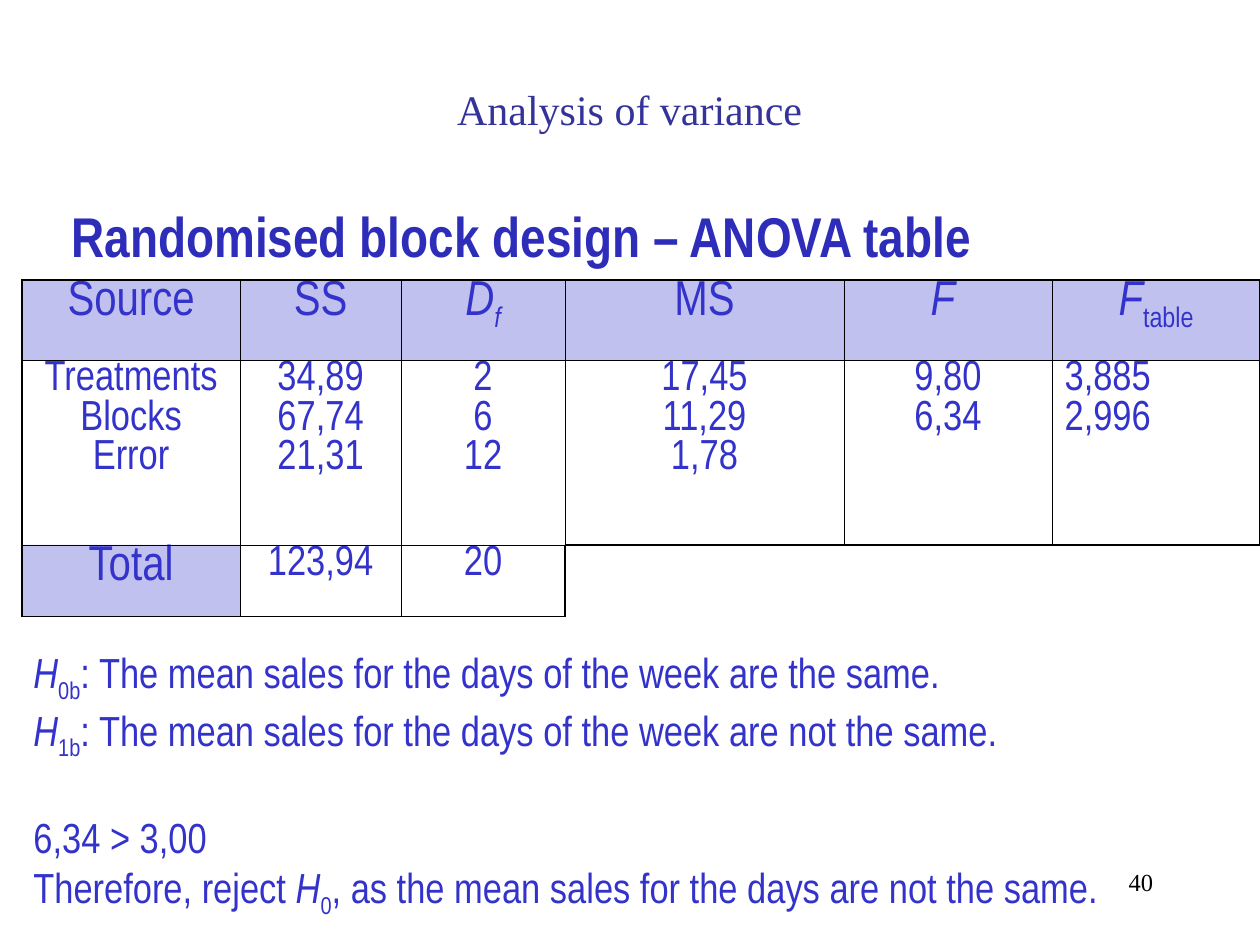
from lxml.etree import SubElement
from pptx import Presentation
from pptx.dml.color import RGBColor
from pptx.enum.text import MSO_ANCHOR, PP_ALIGN
from pptx.oxml.ns import qn
from pptx.util import Pt

BLACK = RGBColor(0x00, 0x00, 0x00)
NAVY = RGBColor(0x33, 0x33, 0x99)
HEADING_BLUE = RGBColor(0x2D, 0x2D, 0xB9)
BLUE = RGBColor(0x33, 0x33, 0xCC)

SERIF = "Times New Roman"
NARROW = "Arial Narrow"

COLUMNS = [124.6, 92, 93.7, 159.4, 118.9, 118.9]
ROWS = [45.7, 105.7, 41]
OUTER, INNER = 1.08, 0.45

ANOVA = [
    [["Source"], ["SS"], [[("D", "i"), ("f", "i sub")]], ["MS"],
     [[("F ", "i")]], [[("F", "i"), ("table", "sub")]]],
    [["Treatments", "Blocks", "Error"], ["34,89", "67,74", "21,31"],
     ["2", "6", "12"], ["17,45", "11,29", "1,78"],
     ["9,80", "6,34"], ["3,885", "2,996"]],
    [["Total"], ["123,94"], ["20"], [], [], []],
]

CONCLUSIONS = [
    [("H", "i"), ("0b", "sub"),
     (": The mean sales for the days of the week are the same.", "")],
    [("H", "i"), ("1b", "sub"),
     (": The mean sales for the days of the week are not the same.", "")],
    "6,34 > 3,00",
    [("Therefore, reject ", ""), ("H", "i"), ("0", "sub"),
     (", as the mean sales for the days are not the same.", "")],
]


def write(tf, lines, size, font, color, align=PP_ALIGN.LEFT, bold=False):
    for i, line in enumerate(lines):
        p = tf.paragraphs[0] if i == 0 else tf.add_paragraph()
        p.alignment = align
        p.space_before = Pt(0)
        p.font.size = Pt(size)
        p.font.name = font
        p.font.bold = bold
        p.font.color.rgb = color
        for text, style in [(line, "")] if isinstance(line, str) else line:
            r = p.add_run()
            r.text = text
            marks = style.split()
            if "i" in marks:
                r.font.italic = True
            if "sub" in marks:
                r._r.get_or_add_rPr().set("baseline", "-25000")


def add_title(s, text):
    title = s.shapes.title
    title.left, title.top, title.width, title.height = (
        Pt(131.8), Pt(43.9), Pt(456), Pt(67))
    tf = title.text_frame
    tf.word_wrap = False
    tf.vertical_anchor = MSO_ANCHOR.TOP
    write(tf, [text], 24, SERIF, NAVY, PP_ALIGN.CENTER)


def add_text(s, box, lines, size, font, color, **options):
    tf = s.shapes.add_textbox(*map(Pt, box)).text_frame
    tf.word_wrap = True
    write(tf, lines, size, font, color, **options)
    return tf


def has_text(row, col):
    return (0 <= row < len(ROWS) and 0 <= col < len(COLUMNS)
            and bool(ANOVA[row][col]))


def add_borders(cell, row, col):
    tcPr = cell._tc.get_or_add_tcPr()
    neighbours = {"a:lnL": (row, col - 1), "a:lnR": (row, col + 1),
                  "a:lnT": (row - 1, col), "a:lnB": (row + 1, col)}
    for tag, neighbour in neighbours.items():
        filled = has_text(row, col) + has_text(*neighbour)
        width = {0: 0, 1: OUTER, 2: INNER}[filled]
        ln = SubElement(tcPr, qn(tag), w=str(int(Pt(width))))
        if filled:
            fill = SubElement(ln, qn("a:solidFill"))
            SubElement(fill, qn("a:srgbClr"), val=str(BLACK))
        else:
            SubElement(ln, qn("a:noFill"))


def shade(cell):
    cell.fill.solid()
    cell.fill.fore_color.rgb = BLUE
    color = cell._tc.tcPr.find(qn("a:solidFill")).find(qn("a:srgbClr"))
    SubElement(color, qn("a:alpha"), val="30000")


def add_anova_table(s):
    table = s.shapes.add_table(len(ROWS), len(COLUMNS), Pt(12.6), Pt(160),
                               Pt(sum(COLUMNS)), Pt(sum(ROWS))).table
    table.first_row = table.horz_banding = False
    for column, width in zip(table.columns, COLUMNS):
        column.width = Pt(width)
    for row, height in zip(table.rows, ROWS):
        row.height = Pt(height)
    for i, row in enumerate(ANOVA):
        for j, lines in enumerate(row):
            cell = table.cell(i, j)
            cell.margin_top = cell.margin_bottom = Pt(0)
            add_borders(cell, i, j)
            label = i == 0 or (i == 2 and j == 0)
            if label:
                shade(cell)
            else:
                cell.fill.background()
            left = i == 1 and j == len(COLUMNS) - 1
            write(cell.text_frame, lines, 28 if label else 24, NARROW, BLUE,
                  PP_ALIGN.LEFT if left else PP_ALIGN.CENTER)


def main():
    prs = Presentation()
    prs.slide_width, prs.slide_height = Pt(720), Pt(540)
    s = prs.slides.add_slide(prs.slide_layouts[5])
    add_text(s, (516, 492, 150, 36), ["40"], 14, SERIF, BLACK,
             align=PP_ALIGN.RIGHT)
    add_title(s, "Analysis of variance")
    add_text(s, (33.8, 111.6, 627, 46),
             ["Randomised block design – ANOVA table"], 32, NARROW,
             HEADING_BLUE, bold=True)
    add_anova_table(s)
    tf = add_text(s, (12, 366, 636, 163), CONCLUSIONS, 24, NARROW, BLUE)
    tf.paragraphs[2].space_before = Pt(28.5)
    prs.save("out.pptx")


if __name__ == "__main__":
    main()
